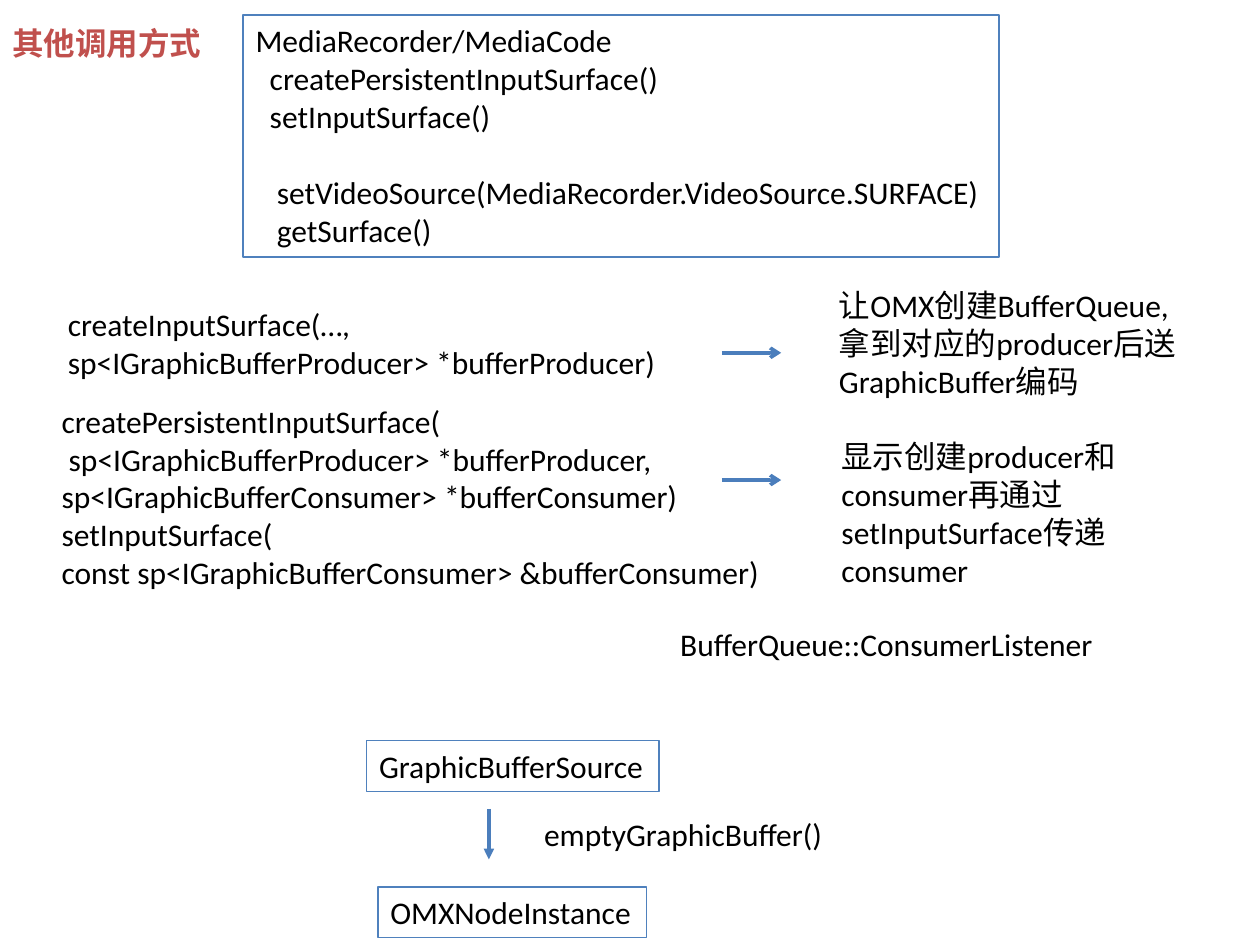
import pptx
import pptx.util
from pptx.dml.color import RGBColor
from pptx.enum.shapes import MSO_CONNECTOR, MSO_SHAPE
from pptx.enum.text import MSO_ANCHOR, MSO_AUTO_SIZE, PP_ALIGN
from pptx.oxml.ns import qn
from lxml import etree

Inches = pptx.util.Inches
Pt = pptx.util.Pt

COLORS = {"text": "000000", "title": "C0504D", "border": "4F81BD", "arrow": "4B7EBC"}


def color(name):
    return RGBColor.from_string(COLORS[name])


def write_lines(shape, lines, wrap=False, color_name="text", bold=False):
    frame = shape.text_frame
    frame.word_wrap = wrap
    frame.auto_size = MSO_AUTO_SIZE.SHAPE_TO_FIT_TEXT
    frame.vertical_anchor = MSO_ANCHOR.TOP
    for index, line in enumerate(lines):
        paragraph = frame.add_paragraph() if index else frame.paragraphs[0]
        paragraph.text = line
        paragraph.alignment = PP_ALIGN.LEFT
        paragraph.font.size = Pt(18)
        paragraph.font.name = "Calibri"
        paragraph.font.bold = bold
        paragraph.font.color.rgb = color(color_name)
    return frame


def add_label(slide, box, lines, **style):
    label = slide.shapes.add_textbox(*map(Inches, box))
    return write_lines(label, lines, **style)


def add_framed_box(slide, box, lines):
    rectangle = slide.shapes.add_shape(MSO_SHAPE.RECTANGLE, *map(Inches, box))
    rectangle.shadow.inherit = False
    rectangle.fill.background()
    rectangle.line.color.rgb = color("border")
    rectangle.line.width = Pt(0.75)
    return write_lines(rectangle, lines)


def add_arrow(slide, start, end, head):
    arrow = slide.shapes.add_connector(
        MSO_CONNECTOR.STRAIGHT, *map(Inches, start + end))
    arrow.line.color.rgb = color("arrow")
    arrow.line.width = Pt(2)
    etree.SubElement(arrow.line._get_or_add_ln(), qn("a:tailEnd"), type=head)
    etree.SubElement(arrow._element.spPr, qn("a:effectLst"))


def add_recorder_calls(slide, box):
    frame = add_framed_box(slide, box, [
        "MediaRecorder/MediaCode",
        "  createPersistentInputSurface()",
        "  setInputSurface()",
        "   setVideoSource(MediaRecorder.VideoSource.SURFACE)",
        "   getSurface()",
    ])
    frame.paragraphs[3].space_before = Pt(22)


def add_call_with_note(slide, call_box, call_lines, note_box, note, arrow_top):
    add_label(slide, call_box, call_lines)
    add_label(slide, note_box, [note], wrap=True)
    add_arrow(slide, (5.73, arrow_top), (6.2, arrow_top), "arrow")


def add_buffer_flow(slide, left, top):
    add_framed_box(slide, (left, top, 2.32, 0.4), ["GraphicBufferSource"])
    add_arrow(slide, (left + 0.97, top + 0.54), (left + 0.97, top + 0.94), "triangle")
    add_label(slide, (left + 1.31, top + 0.54, 2.44, 0.4), ["emptyGraphicBuffer()"])
    add_framed_box(slide, (left + 0.09, top + 1.16, 2.13, 0.4), ["OMXNodeInstance"])


def main():
    presentation = pptx.Presentation()
    presentation.slide_width = Inches(10)
    presentation.slide_height = Inches(7.5)
    slide = presentation.slides.add_slide(presentation.slide_layouts[6])

    add_label(slide, (0, 0.14, 1.73, 0.4), ["其他调用方式"], color_name="title", bold=True)
    add_recorder_calls(slide, (1.93, 0.12, 6, 1.92))
    add_call_with_note(
        slide,
        (0.44, 2.37, 4.93, 0.71),
        ["createInputSurface(…,", "sp<IGraphicBufferProducer> *bufferProducer)"],
        (6.56, 2.22, 2.99, 1.01),
        "让OMX创建BufferQueue, 拿到对应的producer后送GraphicBuffer编码",
        2.8)
    add_call_with_note(
        slide,
        (0.39, 3.14, 5.81, 1.62),
        ["createPersistentInputSurface(",
         " sp<IGraphicBufferProducer> *bufferProducer,",
         "sp<IGraphicBufferConsumer> *bufferConsumer)",
         "setInputSurface(",
         "const sp<IGraphicBufferConsumer> &bufferConsumer)"],
        (6.58, 3.42, 2.99, 1.31),
        "显示创建producer和consumer再通过setInputSurface传递consumer",
        3.81)
    add_label(slide, (5.3, 4.91, 3.52, 0.4), ["BufferQueue::ConsumerListener"])
    add_buffer_flow(slide, 2.91, 5.88)

    presentation.save("out.pptx")


if __name__ == "__main__":
    main()
